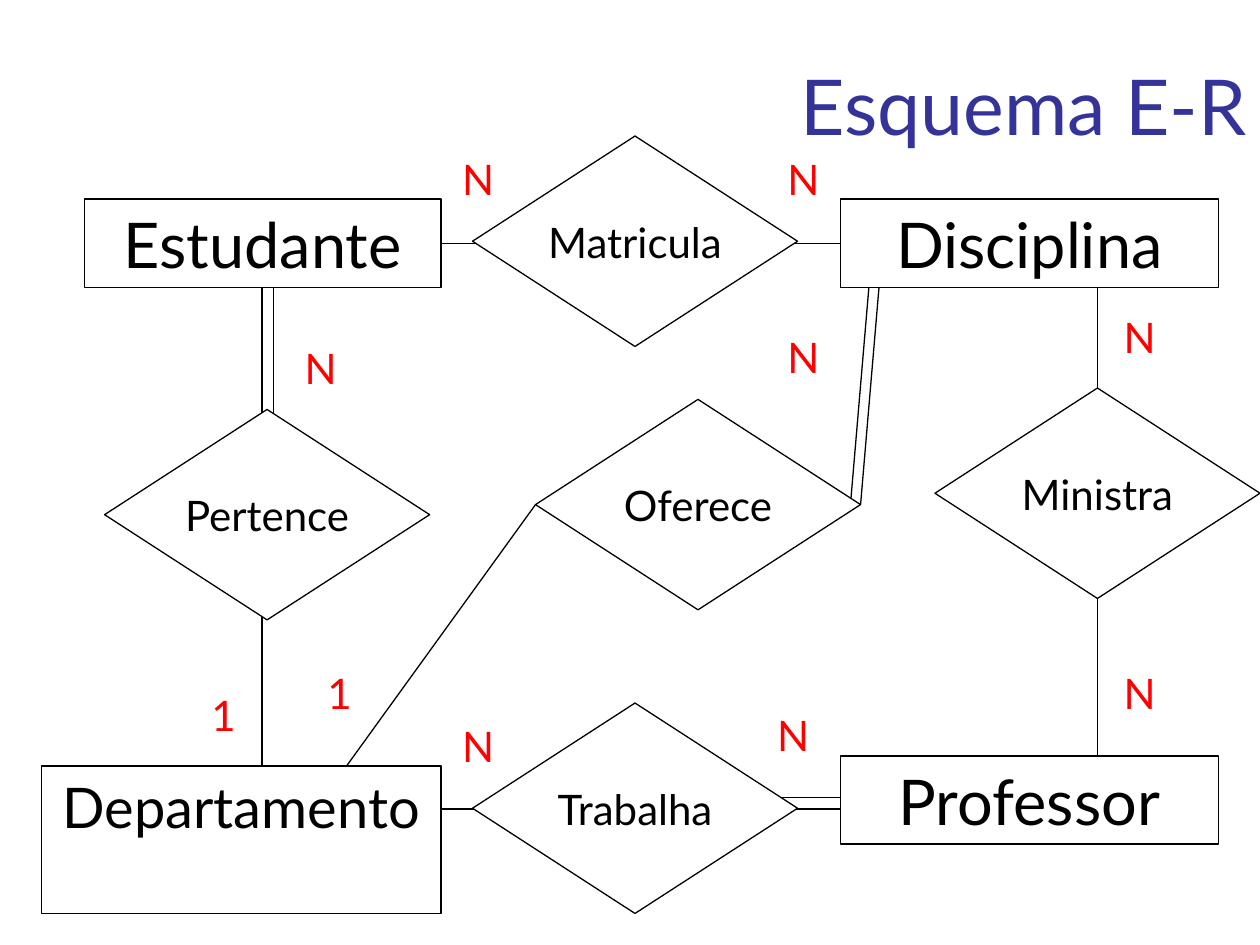
from lxml.etree import SubElement
from pptx import Presentation
from pptx.dml.color import RGBColor
from pptx.enum.shapes import MSO_CONNECTOR, MSO_SHAPE
from pptx.enum.text import MSO_ANCHOR, MSO_AUTO_SIZE, PP_ALIGN
from pptx.oxml.ns import qn
from pptx.util import Inches, Pt

COLORS = {"ink": "000000", "paper": "FFFFFF", "title": "333399", "cardinality": "FF0000"}
FONT = "Lato"
TITLE = "Esquema E-R"
TITLE_BOX = (1.48, 0, 8.52, 1.25)
DIAMOND_SIZE = (2.58, 1.67)
LABEL_HEIGHT = 0.5
LABEL_WIDTHS = {"N": 0.45, "1": 0.39}

ENTITIES = [
    ("Disciplina", (6.67, 1.58, 3, 0.7), 36),
    ("Estudante", (0.67, 1.58, 2.83, 0.7), 36),
    ("Departamento", (0.33, 6.08, 3.17, 1.17), 32),
    ("Professor", (6.67, 6, 3, 0.7), 36),
]
RELATIONSHIPS = [
    ("Trabalha", (3.75, 5.58)),
    ("Matricula", (3.75, 1.08)),
    ("Pertence", (0.83, 3.25)),
    ("Oferece", (4.25, 3.17)),
    ("Ministra", (7.42, 3.08)),
]
CARDINALITIES = [
    ("N", (3.57, 1.17)), ("N", (6.15, 1.17)), ("N", (2.32, 2.67)),
    ("N", (6.15, 2.58)), ("N", (8.82, 2.42)), ("N", (8.82, 5.25)),
    ("N", (6.07, 5.58)), ("N", (3.57, 5.67)),
    ("1", (1.58, 5.42)), ("1", (2.5, 5.25)),
]
LINES = [
    ((5.08, 6.33), (6.83, 6.33), None, None),
    ((2.75, 6.08), (4.25, 4), None, ("Oferece", 1)),
    ((6.75, 4), (6.92, 2), None, None),
    ((6.83, 4), (7, 2), ("Oferece", 3), None),
    ((2.17, 4.33), (2.17, 2.17), None, None),
    ((8.71, 6.25), (8.71, 2.17), None, None),
    ((2.08, 6.25), (2.08, 2.17), None, None),
    ((3.5, 6.42), (6.75, 6.42), None, None),
    ((3.5, 1.93), (6.67, 1.93), ("Estudante", 3), ("Disciplina", 1)),
]


def rgb(name):
    return RGBColor.from_string(COLORS[name])


def write(shape, text, size, color, align, **frame):
    tf = shape.text_frame
    for name, value in frame.items():
        setattr(tf, name, value)
    p = tf.paragraphs[0]
    p.alignment = align
    r = p.add_run()
    r.text = text
    for name, value in {"name": FONT, "size": Pt(size), "bold": False}.items():
        setattr(r.font, name, value)
    r.font.color.rgb = rgb(color)


def outline(shape):
    shape.line.color.rgb = rgb("ink")
    shape.line.width = Pt(0.75)


def add_line(s, start, end):
    line = s.shapes.add_connector(MSO_CONNECTOR.STRAIGHT, *map(Inches, start + end))
    outline(line)
    SubElement(line.element.spPr, qn("a:effectLst"))
    return line


def add_node(s, kind, box, text, size, **frame):
    sp = s.shapes.add_shape(kind, *map(Inches, box))
    sp.shadow.inherit = False
    sp.fill.solid()
    sp.fill.fore_color.rgb = rgb("paper")
    outline(sp)
    write(sp, text, size, "ink", PP_ALIGN.CENTER, **frame)
    return sp


def main():
    """Build the entity-relationship diagram slide."""
    prs = Presentation()
    prs.slide_width, prs.slide_height = Inches(10), Inches(7.5)
    s = prs.slides.add_slide(prs.slide_layouts[5])

    title = s.shapes.title
    for name, value in zip(("left", "top", "width", "height"), TITLE_BOX):
        setattr(title, name, Inches(value))
    write(title, TITLE, 44, "title", PP_ALIGN.RIGHT,
          vertical_anchor=MSO_ANCHOR.BOTTOM, auto_size=MSO_AUTO_SIZE.NONE, word_wrap=True)

    lines = [add_line(s, start, end) for start, end, _, _ in LINES]

    nodes = {}
    for text, corner in RELATIONSHIPS:
        nodes[text] = add_node(s, MSO_SHAPE.DIAMOND, corner + DIAMOND_SIZE, text, 24,
                               vertical_anchor=MSO_ANCHOR.MIDDLE, word_wrap=False)
    for text, box, size in ENTITIES:
        nodes[text] = add_node(s, MSO_SHAPE.RECTANGLE, box, text, size,
                               vertical_anchor=MSO_ANCHOR.TOP, word_wrap=True,
                               auto_size=MSO_AUTO_SIZE.SHAPE_TO_FIT_TEXT)

    for line, (_, _, begin, end) in zip(lines, LINES):
        for join, connect in ((begin, line.begin_connect), (end, line.end_connect)):
            if join:
                connect(nodes[join[0]], join[1])

    for text, corner in CARDINALITIES:
        box = corner + (LABEL_WIDTHS[text], LABEL_HEIGHT)
        write(s.shapes.add_textbox(*map(Inches, box)), text, 24, "cardinality",
              PP_ALIGN.LEFT, word_wrap=False, auto_size=MSO_AUTO_SIZE.SHAPE_TO_FIT_TEXT)

    prs.save("out.pptx")


if __name__ == "__main__":
    main()
